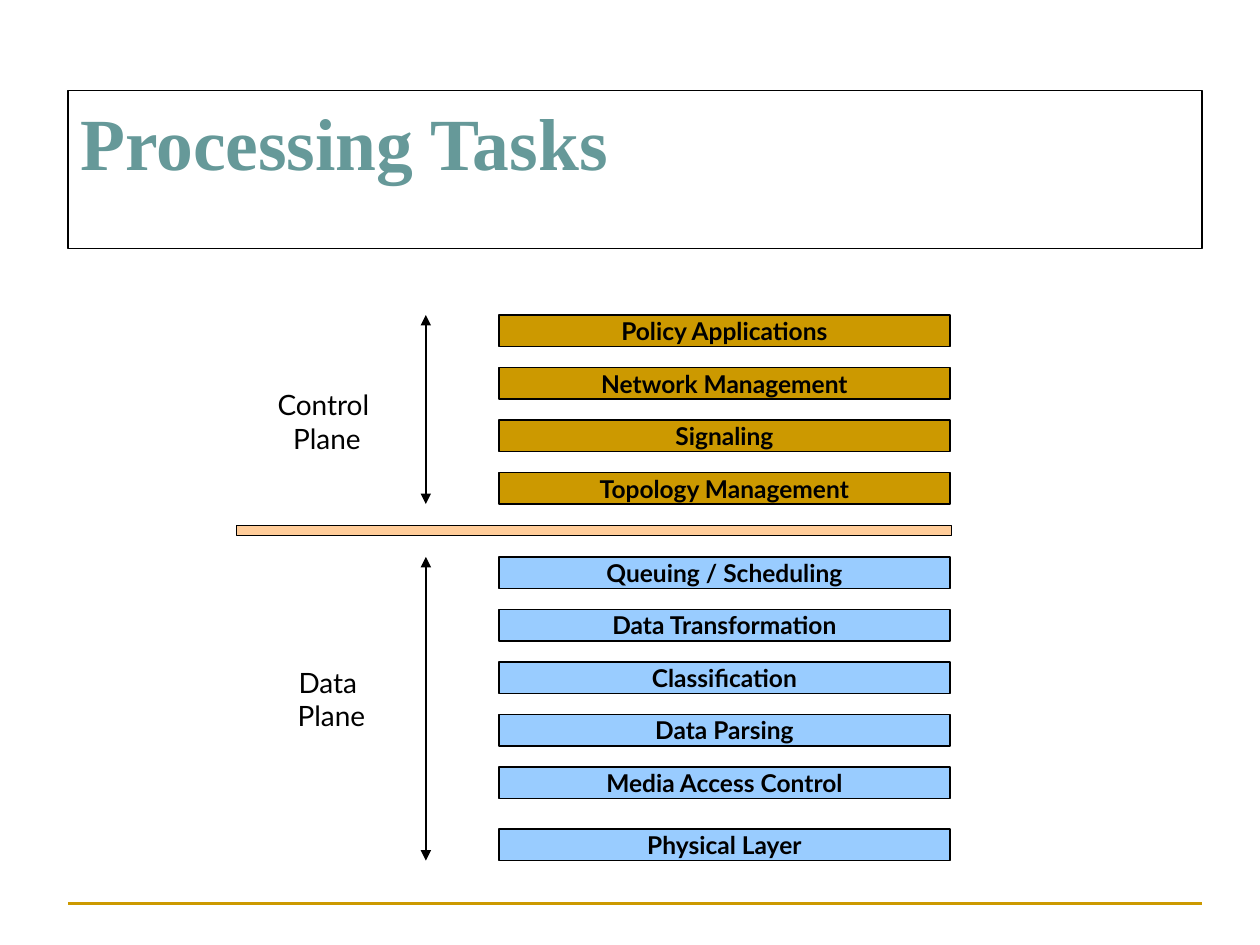
"""Build the Processing Tasks slide with its control and data plane stacks."""
from lxml import etree
from pptx import Presentation
from pptx.dml.color import RGBColor
from pptx.enum.shapes import MSO_CONNECTOR, MSO_SHAPE
from pptx.enum.text import MSO_ANCHOR, MSO_AUTO_SIZE, PP_ALIGN
from pptx.oxml.ns import qn
from pptx.util import Inches, Pt

RECTANGLE = MSO_SHAPE.RECTANGLE
STRAIGHT = MSO_CONNECTOR.STRAIGHT
TOP, MIDDLE = MSO_ANCHOR.TOP, MSO_ANCHOR.MIDDLE
LEFT, CENTER = PP_ALIGN.LEFT, PP_ALIGN.CENTER
FIT_SHAPE = MSO_AUTO_SIZE.SHAPE_TO_FIT_TEXT
BLACK, GOLD = "000000", "CC9900"
TASK_LEFT, TASK_WIDTH, TASK_HEIGHT = 3.96, 3.58, 0.25
TASK_STEP = 5 / 12


def add_box(left, top, width, height, fill):
    box = slide.shapes.add_shape(
        RECTANGLE, Inches(left), Inches(top), Inches(width), Inches(height))
    box.shadow.inherit = False
    box.fill.solid()
    box.fill.fore_color.rgb = RGBColor.from_string(fill)
    box.line.color.rgb = RGBColor.from_string(BLACK)
    box.line.width = Pt(0.75)
    return box


def write(frame, lines, font, size, color, bold, align, anchor, wrap):
    frame.word_wrap = wrap
    frame.vertical_anchor = anchor
    for index, line in enumerate(lines):
        paragraph = frame.add_paragraph() if index else frame.paragraphs[0]
        paragraph.alignment = align
        run = paragraph.add_run()
        run.text = line
        run.font.name = font
        run.font.size = Pt(size)
        run.font.bold = bold
        run.font.color.rgb = RGBColor.from_string(color)


prs = Presentation()
prs.slide_width, prs.slide_height = Inches(10), Inches(7.5)
slide = prs.slides.add_slide(prs.slide_layouts[6])

title = add_box(0.54, 0.72, 9, 1.25, "FFFFFF")
write(title.text_frame, ["Processing Tasks"], "Times New Roman", 42, "669999",
      True, LEFT, TOP, True)

control_tasks = ["Policy Applications", "Network Management", "Signaling",
                 "Topology Management"]
data_tasks = ["Queuing / Scheduling", "Data Transformation", "Classification",
              "Data Parsing", "Media Access Control"]
tasks = [(name, 2.5 + row * TASK_STEP, GOLD)
         for row, name in enumerate(control_tasks)]
tasks += [(name, 4.42 + row * TASK_STEP, "99CCFF")
          for row, name in enumerate(data_tasks)]
tasks.append(("Physical Layer", 6.58, "99CCFF"))
for name, top, fill in tasks:
    task = add_box(TASK_LEFT, top, TASK_WIDTH, TASK_HEIGHT, fill)
    write(task.text_frame, [name], "Lato", 14, BLACK, True, CENTER, MIDDLE, False)

add_box(1.88, 4.17, 5.67, 0.08, "FFCC99")

for x1, y1, x2, y2, color, width, arrows in [
    (0.54, 7.17, 9.54, 7.17, GOLD, 1.5, []),
    (3.38, 2.5, 3.38, 4, BLACK, 0.75, ["a:headEnd", "a:tailEnd"]),
    (3.38, 4.42, 3.38, 6.83, BLACK, 0.75, ["a:headEnd", "a:tailEnd"]),
]:
    rule = slide.shapes.add_connector(
        STRAIGHT, Inches(x1), Inches(y1), Inches(x2), Inches(y2))
    rule.line.color.rgb = RGBColor.from_string(color)
    rule.line.width = Pt(width)
    for end in arrows:
        etree.SubElement(rule.line._get_or_add_ln(), qn(end), type="triangle")
    etree.SubElement(rule._element.spPr, qn("a:effectLst"))

for lines, left, top, width in [
    (["Control ", "Plane"], 2.08, 3.03, 1.03),
    (["Data ", "Plane"], 2.24, 5.23, 0.78),
]:
    plane = slide.shapes.add_textbox(
        Inches(left), Inches(top), Inches(width), Inches(0.64))
    write(plane.text_frame, lines, "Lato", 16, BLACK, False, CENTER, TOP, False)
    plane.text_frame.auto_size = FIT_SHAPE

prs.save("out.pptx")
